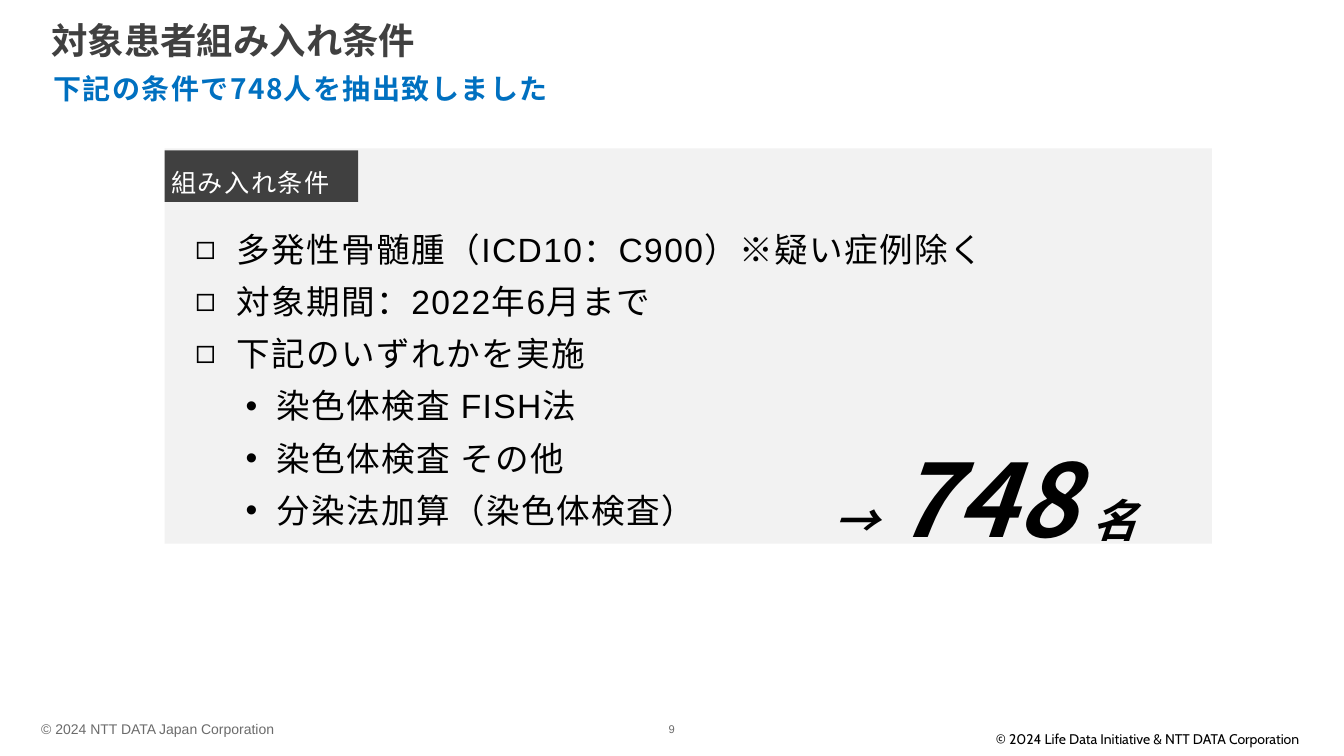
from lxml import etree
from pptx import Presentation
from pptx import util as u
from pptx.dml.color import RGBColor
from pptx.enum import shapes, text
from pptx.oxml.ns import qn

GOTHIC = "Noto Sans CJK JP"


def prepare(shape, left, top, width, height, margins=(0, 0, 0, 0), wrap=True):
    """Place a shape and return its text frame, anchored at the top."""
    shape.left, shape.top = u.Cm(left), u.Cm(top)
    shape.width, shape.height = u.Cm(width), u.Cm(height)
    frame = shape.text_frame
    frame.auto_size = text.MSO_AUTO_SIZE.NONE
    frame.word_wrap = wrap
    frame.vertical_anchor = text.MSO_ANCHOR.TOP
    (frame.margin_left, frame.margin_top,
     frame.margin_right, frame.margin_bottom) = [u.Cm(m) for m in margins]
    return frame


def style(paragraph, size, color, font=GOTHIC, bold=False, italic=False,
          tracking=0, line=None, align=text.PP_ALIGN.LEFT):
    """Format a whole paragraph; tracking and line are in points."""
    paragraph.alignment = align
    paragraph.space_before = u.Pt(0)
    if line:
        paragraph.line_spacing = u.Pt(line)
    face = paragraph.font
    face.name, face.bold, face.italic = font, bold, italic
    if size:
        face.size = u.Pt(size)
    face.color.rgb = RGBColor.from_string(color)
    face._element.set("spc", str(tracking * 100))
    etree.SubElement(face._element, qn("a:ea")).set("typeface", GOTHIC)


presentation = Presentation()
presentation.slide_width, presentation.slide_height = u.Cm(33.87), u.Cm(19.05)
slide = presentation.slides.add_slide(presentation.slide_layouts[1])
title, conditions = slide.placeholders

# Title and subtitle
frame = prepare(title, 1.04, 0.38, 31.8, 1.12, (0.25, 0, 0.25, 0))
frame.text = "対象患者組み入れ条件"
style(frame.paragraphs[0], 26, "404040", bold=True, line=33)

subtitle = slide.shapes.add_textbox(0, 0, 0, 0)
frame = prepare(subtitle, 1.35, 1.3, 31.09, 1.42, (0, 0.2, 0.2, 0.2))
frame.text = "下記の条件で748人を抽出致しました"
style(frame.paragraphs[0], 20, "0070C0", bold=True, tracking=1, line=32.5)

# Grey panel behind the list, and its dark label
panel, label = [
    slide.shapes.add_shape(shapes.MSO_SHAPE.RECTANGLE, 0, 0, 0, 0) for _ in range(2)
]
for shape, color in ((panel, "F2F2F2"), (label, "404040")):
    shape.shadow.inherit = False
    shape.fill.solid()
    shape.fill.fore_color.rgb = RGBColor.from_string(color)
    shape.line.fill.background()
prepare(panel, 4.15, 3.74, 26.39, 9.96)
slide.shapes._spTree.insert(2, panel._element)

frame = prepare(label, 4.15, 3.79, 4.88, 1.3, (0.17, 0.2, 0, 0.2))
frame.text = "組み入れ条件"
style(frame.paragraphs[0], 18, "FFFFFF", tracking=1, line=28)

# Inclusion conditions: (level, wording)
items = [
    (0, "多発性骨髄腫（ICD10：C900）※疑い症例除く"),
    (0, "対象期間：2022年6月まで"),
    (0, "下記のいずれかを実施"),
    (1, "染色体検査 FISH法"),
    (1, "染色体検査 その他"),
    (1, "分染法加算（染色体検査）"),
]
bullets = [("◻", 1.04, 1.04), ("•", 2.06, 0.79)]  # sign, text indent, hanging
frame = prepare(conditions, 4.67, 5.33, 22.15, 8.1, (0.25, 0.13, 0.25, 0.13))
frame.text = "\n".join(wording for _, wording in items)
for paragraph, (level, _) in zip(frame.paragraphs, items):
    sign, indent, hanging = bullets[level]
    paragraph.level = level
    properties = paragraph._p.get_or_add_pPr()
    properties.set("marL", str(u.Cm(indent)))
    properties.set("indent", str(-u.Cm(hanging)))
    etree.SubElement(properties, qn("a:buFont")).set("typeface", "Arial")
    etree.SubElement(properties, qn("a:buChar")).set("char", sign)
    style(paragraph, 24, "000000", font="Arial", tracking=1, line=37.3)

# Number of patients
total = slide.shapes.add_textbox(0, 0, 0, 0)
frame = prepare(total, 20.75, 9.8, 9.75, 3.76, (0.25, 0.13, 0.25, 0.13))
paragraph = frame.paragraphs[0]
style(paragraph, None, "000000", bold=True, italic=True, tracking=1, line=117)
for wording, size in (("→", 32), (" ", 44), ("748", 72), (" ", 44), ("名", 32)):
    run = paragraph.add_run()
    run.text = wording
    run.font.size = u.Pt(size)

# Footer: wording, place, size, font, colour, alignment, anchor
align, anchor = text.PP_ALIGN, text.MSO_ANCHOR
footers = [
    ("© 2024 NTT DATA Japan Corporation", (1.04, 18.24, 13.49, 0.25),
     10, "Arial", "6B6B6B", align.LEFT, anchor.MIDDLE),
    ("9", (16.51, 18.24, 0.84, 0.25),
     8, "Arial", "6B6B6B", align.CENTER, anchor.MIDDLE),
    ("© 2024 Life Data Initiative & NTT DATA Corporation", (24.54, 18.29, 8.2, 0.69, (0, 0.13, 0, 0.13), False),
     10, "Cabin", "000000", align.RIGHT, anchor.TOP),
]
for wording, place, size, font, color, alignment, vertical in footers:
    frame = prepare(slide.shapes.add_textbox(0, 0, 0, 0), *place)
    frame.vertical_anchor = vertical
    frame.text = wording
    style(frame.paragraphs[0], size, color, font=font, align=alignment)

presentation.save("out.pptx")
